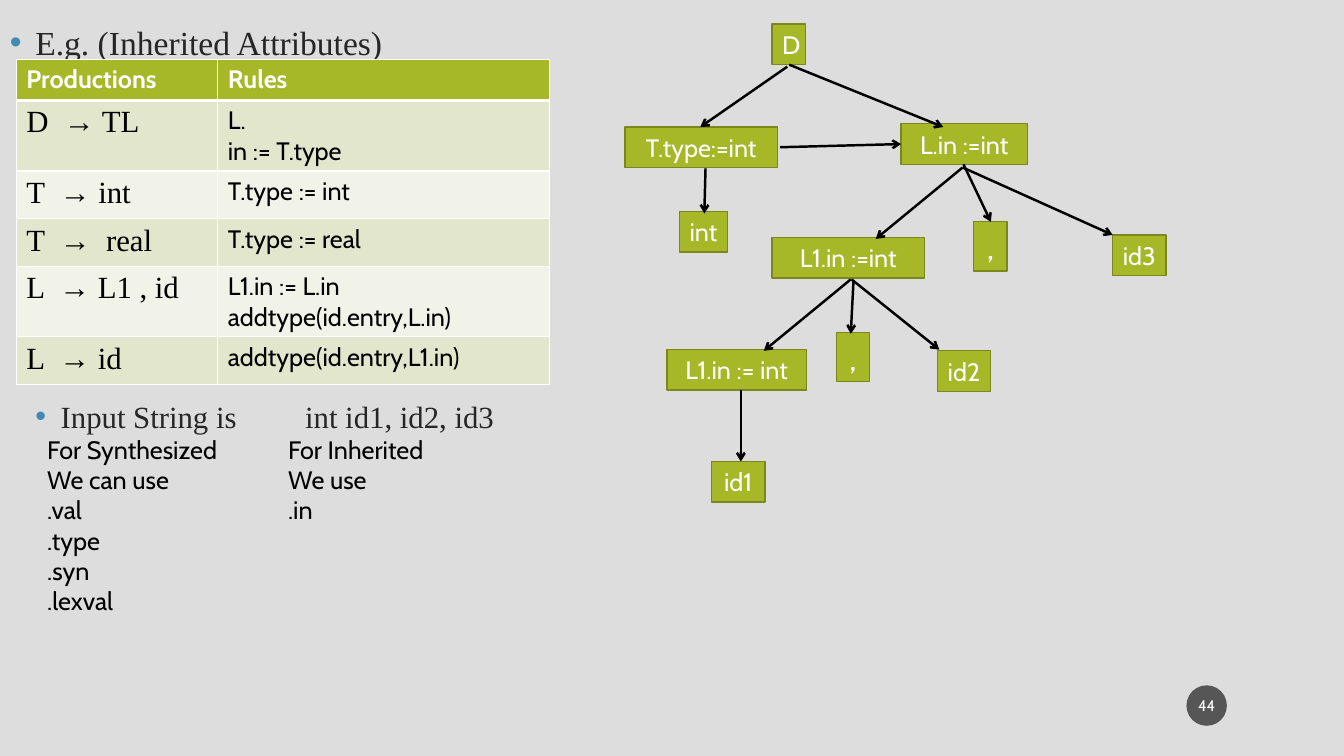
import pptx
import pptx.dml.color
import pptx.enum.shapes
import pptx.enum.text
import pptx.oxml
import pptx.oxml.ns
import pptx.util
from lxml import etree

Cm = pptx.util.Cm
Pt = pptx.util.Pt
RGBColor = pptx.dml.color.RGBColor
Align = pptx.enum.text.PP_ALIGN
Anchor = pptx.enum.text.MSO_ANCHOR
Shape = pptx.enum.shapes.MSO_SHAPE
qn = pptx.oxml.ns.qn

BACKGROUND = RGBColor(0xDD, 0xDD, 0xDD)
BLACK = RGBColor(0, 0, 0)
WHITE = RGBColor(0xFF, 0xFF, 0xFF)
DARK = RGBColor(0x26, 0x26, 0x26)
BADGE = RGBColor(0x1D, 0x1D, 0x1D)
BULLET = RGBColor(0x41, 0x8A, 0xB3)
GREEN = RGBColor(0xA6, 0xB7, 0x27)
GREEN_EDGE = RGBColor(0x7B, 0x87, 0x1D)
ROW_DARK = RGBColor(0xE1, 0xE6, 0xCD)
ROW_LIGHT = RGBColor(0xF1, 0xF3, 0xE8)
SANS = "Cabin"
SERIF = "Times New Roman"


def add_element(parent, tag, **attributes):
    return etree.SubElement(parent, qn(tag), attributes)


def write_text(frame, text, font=SANS, size=18, color=BLACK, bold=False, align=Align.LEFT):
    """Fill a text frame, one paragraph for each line of text."""
    for number, line in enumerate(text.split("\n")):
        paragraph = frame.add_paragraph() if number else frame.paragraphs[0]
        paragraph.alignment = align
        run = paragraph.add_run()
        run.text = line
        run.font.name = font
        run.font.size = Pt(size)
        run.font.bold = bold
        run.font.color.rgb = color


class SlideBuilder:
    def __init__(self, presentation):
        self.slide = presentation.slides.add_slide(presentation.slide_layouts[6])
        self.slide.background.fill.solid()
        self.slide.background.fill.fore_color.rgb = BACKGROUND

    def text_box(self, left, top, width, height, text, **style):
        frame = self.slide.shapes.add_textbox(Cm(left), Cm(top), Cm(width), Cm(height)).text_frame
        frame.word_wrap = True
        write_text(frame, text, **style)
        return frame

    def bullet(self, left, top, text, size, tab=None):
        frame = self.text_box(left, top, 15, 1.2, text, font=SERIF, size=size, color=DARK)
        properties = frame.paragraphs[0]._p.get_or_add_pPr()
        indent = Cm(0.64)
        properties.set("marL", str(indent))
        properties.set("indent", str(-indent))
        add_element(add_element(properties, "a:buClr"), "a:srgbClr", val=str(BULLET))
        add_element(properties, "a:buFont", typeface="Arial")
        add_element(properties, "a:buChar", char="•")
        if tab:
            add_element(add_element(properties, "a:tabLst"), "a:tab", pos=str(Cm(tab)), algn="l")

    def shape(self, kind, left, top, width, height, text, fill, size=18):
        shape = self.slide.shapes.add_shape(kind, Cm(left), Cm(top), Cm(width), Cm(height))
        shape.shadow.inherit = False
        shape.fill.solid()
        shape.fill.fore_color.rgb = fill
        shape.text_frame.word_wrap = True
        shape.text_frame.vertical_anchor = Anchor.MIDDLE
        write_text(shape.text_frame, text, size=size, color=WHITE, align=Align.CENTER)
        return shape

    def node(self, left, top, width, text):
        comma = text == ","
        shape = self.shape(Shape.RECTANGLE, left, top, width, 1.24 if comma else 1.02,
                           text, GREEN, size=24 if comma else 18)
        shape.line.color.rgb = GREEN_EDGE
        shape.line.width = Pt(1)

    def badge(self, left, top, diameter, text):
        shape = self.shape(Shape.OVAL, left, top, diameter, diameter, text, BADGE, size=11)
        shape.line.fill.background()
        shape.text_frame.margin_left = shape.text_frame.margin_right = Cm(0.05)
        color = shape._element.spPr.find(qn("a:solidFill"))[0]
        add_element(color, "a:alpha", val="70000")

    def arrow(self, *ends):
        connector = self.slide.shapes.add_connector(
            pptx.enum.shapes.MSO_CONNECTOR.STRAIGHT, *map(Cm, ends))
        connector.line.color.rgb = BLACK
        connector.line.width = Pt(1.75)
        add_element(connector.line._get_or_add_ln(), "a:tailEnd", type="arrow")
        add_element(connector._element.spPr, "a:effectLst")

    def cell(self, cell, text, fill, bottom=1, **style):
        properties = cell._tc.get_or_add_tcPr()
        for side, width in (("L", 1), ("R", 1), ("T", 1), ("B", bottom)):
            border = add_element(properties, f"a:ln{side}", w=str(Pt(width)))
            add_element(add_element(border, "a:solidFill"), "a:srgbClr", val=str(WHITE))
        cell.fill.solid()
        cell.fill.fore_color.rgb = fill
        write_text(cell.text_frame, text, **style)

    def table(self, left, top, widths, heights, header, rows):
        table = self.slide.shapes.add_table(
            len(heights), len(widths), Cm(left), Cm(top), Cm(sum(widths)), Cm(sum(heights))).table
        table.horz_banding = False
        for column, width in zip(table.columns, widths):
            column.width = Cm(width)
        for row, height in zip(table.rows, heights):
            row.height = Cm(height)
        for column, title in enumerate(header):
            self.cell(table.cell(0, column), title, GREEN, bottom=3, color=WHITE, bold=True)
        for number, (production, rule) in enumerate(rows, start=1):
            fill = ROW_DARK if number % 2 else ROW_LIGHT
            self.cell(table.cell(number, 0), production, fill, font=SERIF, size=22)
            self.cell(table.cell(number, 1), rule, fill)


def main():
    presentation = pptx.Presentation()
    presentation.slide_width = Cm(33.87)
    presentation.slide_height = Cm(19.05)
    builder = SlideBuilder(presentation)

    # Heading and input string
    builder.bullet(0, 0.43, "E.g. (Inherited Attributes)", 24)
    builder.bullet(0.64, 9.89, "Input String is\tint id1, id2, id3", 22, tab=6.8)

    # Slide number
    builder.badge(29.9, 17.27, 1.02, "44")

    # Parse tree nodes: left, top, width, label
    for node in (
        (19.46, 0.61, 0.84, "D"),
        (22.71, 3.12, 3.18, "L.in :=int"),
        (15.75, 3.2, 3.84, "T.type:=int"),
        (17.12, 5.33, 1.22, "int"),
        (24.54, 5.59, 0.84, ","),
        (19.46, 5.99, 3.84, "L1.in :=int"),
        (28.04, 5.92, 1.35, "id3"),
        (21.08, 8.38, 0.84, ","),
        (16.81, 8.81, 3.51, "L1.in := int"),
        (23.62, 8.84, 1.35, "id2"),
        (17.93, 11.63, 1.35, "id1"),
    ):
        builder.node(*node)

    # Parse tree arrows: start x, start y, end x, end y
    for arrow in (
        (19.84, 1.68, 17.65, 3.2),
        (19.89, 1.63, 23.77, 3.2),
        (17.78, 4.24, 17.75, 5.38),
        (24.28, 4.14, 24.97, 5.59),
        (24.26, 4.22, 22.07, 6.02),
        (24.26, 4.22, 28.04, 5.92),
        (21.51, 7.06, 21.44, 8.41),
        (21.44, 7.04, 19.25, 8.84),
        (21.46, 7.04, 23.67, 8.81),
        (18.67, 9.83, 18.67, 11.63),
        (19.66, 3.71, 22.71, 3.63),
    ):
        builder.arrow(*arrow)

    # Attribute names
    builder.text_box(0.94, 10.82, 4.85, 4.88,
                     "For Synthesized\nWe can use\n.val\n.type\n.syn\n.lexval")
    builder.text_box(7.01, 10.82, 4.85, 2.57, "For Inherited\nWe use\n.in")

    # Productions and rules
    builder.table(0.41, 1.5, (5.08, 8.36), (1.03, 1.77, 1.2, 1.2, 1.77, 1.2),
                  ("Productions", "Rules"), (
        ("D  → TL", "L.\nin := T.type"),
        ("T  → int", "T.type := int"),
        ("T  →  real", "T.type := real"),
        ("L  → L1 , id", "L1.in := L.in\naddtype(id.entry,L.in)"),
        ("L  → id", "addtype(id.entry,L1.in)"),
    ))

    presentation.save("out.pptx")


if __name__ == "__main__":
    main()
